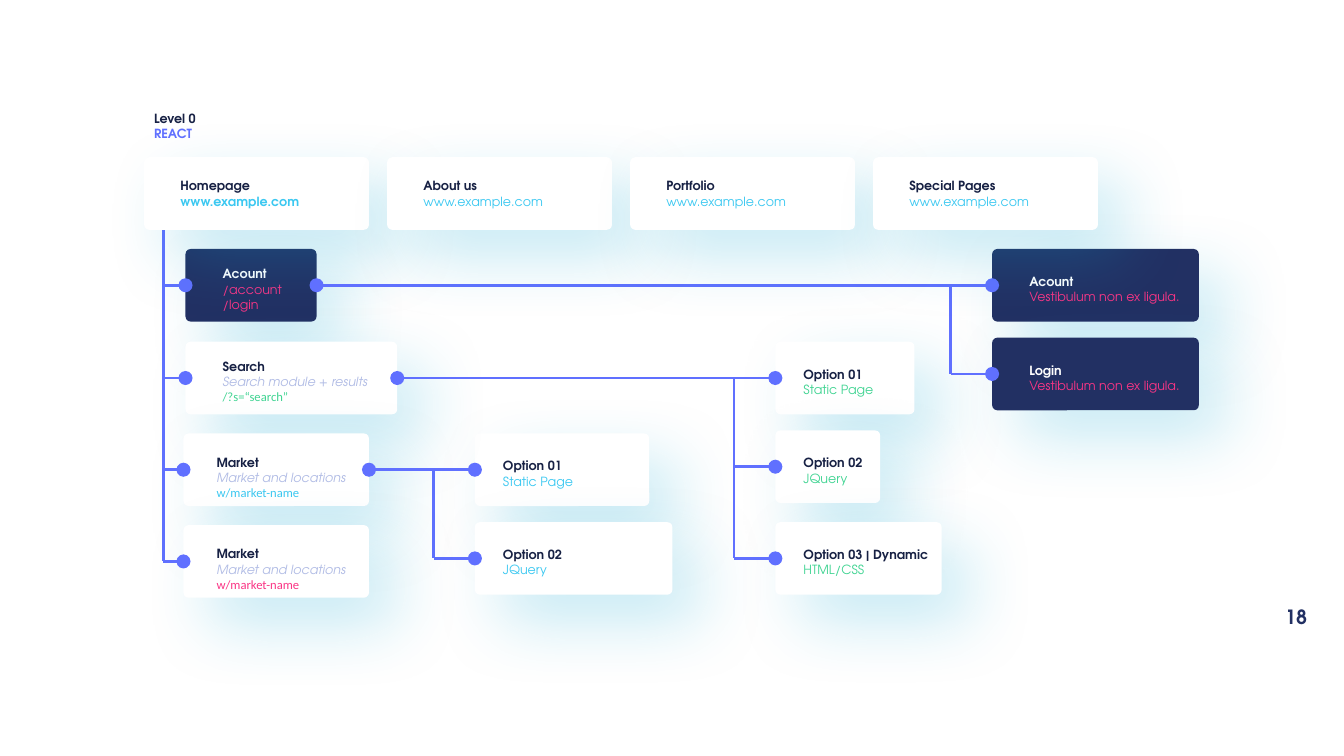
from dataclasses import dataclass
from typing import Optional, Union

from lxml.etree import SubElement
from pptx import Presentation
from pptx.dml.color import RGBColor
from pptx.enum.shapes import MSO_CONNECTOR, MSO_SHAPE
from pptx.enum.text import MSO_ANCHOR, MSO_AUTO_SIZE, PP_ALIGN
from pptx.oxml.ns import qn
from pptx.util import Inches, Pt

COLORS = {
    "white": "FFFFFF", "navy": "223063", "ink": "172144", "blue": "6070FF",
    "sky": "3BC8F1", "green": "40D492", "pink": "FA3585", "lilac": "B1BCE5",
    "shadow": "0FA6D2",
}
FONT = "TeX Gyre Adventor"
CARD_H = 0.72
TRUNK_X = 1.62
TEXT_H = {(1, 2): 0.4, (1.5, 2): 0.48, (1.5, 3): 0.63, (2, 3): 0.71}
RIGHT_SIDE, LEFT_SIDE = 3, 1


@dataclass
class Line:
    text: str
    color: str
    bold: bool = False
    italic: bool = False
    font: str = FONT
    size: float = 9


@dataclass
class Card:
    name: str
    x: float
    y: float
    w: float
    title: str
    details: list[Line]
    text_dx: float
    text_w: float
    first_spacing: float = 1.5
    fill: str = "white"


@dataclass
class Label:
    x: float
    y: float
    w: float
    h: float
    lines: list[Line]


@dataclass
class Link:
    start: Union[str, tuple[float, float]]
    end: Union[str, tuple[float, float]]
    dot_at_start: bool = False


def mid(y: float) -> float:
    return y + CARD_H / 2


def rgb(name: str) -> RGBColor:
    return RGBColor.from_string(COLORS[name])


def top_card(column: int, title: str, bold: bool = False) -> Card:
    return Card(title, 1.43 + 2.41 * column, 1.56, 2.23, title,
                [Line("www.example.com", "sky", bold)], 0.26, 1.41, 1)


def option(name: str, x: float, y: float, w: float, title: str,
           detail: str, color: str, text_w: float) -> Card:
    return Card(name, x, y, w, title, [Line(detail, color)], 0.18, text_w)


def market(name: str, y: float, color: str) -> Card:
    details = [Line("Market and locations", "lilac", italic=True),
               Line("w/market-name", color, font="Calibri")]
    return Card(name, 1.82, y, 1.84, "Market", details, 0.23, 1.5, 2)


def dark_card(name: str, y: float, title: str) -> Card:
    return Card(name, 9.84, y, 2.05, title,
                [Line("Vestibulum non ex ligula.", "pink")], 0.27, 1.71, fill="navy")


ITEMS = [
    option("market static", 4.71, 4.3, 1.73, "Option 01", "Static Page", "sky", 0.9),
    option("market jquery", 4.71, 5.18, 1.96, "Option 02", "JQuery", "sky", 0.79),
    Link((4.3, mid(4.3)), (4.3, mid(5.18))),
    Link((4.3, mid(5.18)), "market jquery"),
    option("search static", 7.69, 3.39, 1.38, "Option 01", "Static Page", "green", 0.9),
    option("search jquery", 7.69, 4.27, 1.04, "Option 02", "JQuery", "green", 0.79),
    Link((7.28, mid(3.39)), (7.28, mid(5.18))),
    Link((7.28, mid(4.27)), "search jquery"),
    dark_card("right account", 2.47, "Acount"),
    Link((TRUNK_X, 2.19), (TRUNK_X, mid(5.21)), dot_at_start=True),
    Card("account", 1.84, 2.47, 1.3, "Acount",
         [Line("/account", "pink"), Line("/login", "pink")], 0.27, 0.79, fill="navy"),
    Link((TRUNK_X, mid(2.47)), "account"),
    top_card(0, "Homepage", bold=True),
    Card("search", 1.84, 3.39, 2.1, "Search",
         [Line("Search module + results", "lilac", italic=True),
          Line("/?s=“search”", "green", font="Calibri")], 0.27, 1.65),
    Link((TRUNK_X, mid(3.39)), "search"),
    market("market", 4.3, "sky"),
    Link((TRUNK_X, mid(4.3)), "market"),
    Label(1.43, 1.05, 0.62, 0.4,
          [Line("Level 0", "ink", True), Line("REACT", "blue", True)]),
    market("second market", 5.21, "pink"),
    Link((TRUNK_X, mid(5.21)), "second market"),
    Link("account", "right account"),
    dark_card("login", 3.35, "Login"),
    Link((9.43, mid(2.47)), (9.43, mid(3.35))),
    Link((9.43, mid(3.35)), "login"),
    Link("search", "search static"),
    Link("market", "market static"),
    option("search dynamic", 7.69, 5.18, 1.65, "Option 03 | Dynamic",
           "HTML/CSS", "green", 1.49),
    Link((7.28, mid(5.18)), "search dynamic"),
    top_card(1, "About us"),
    top_card(2, "Portfolio"),
    top_card(3, "Special Pages"),
]


def add_text(shapes, label: Label, first_spacing: float = 1,
             align: Optional[PP_ALIGN] = None):
    box = shapes.add_textbox(Inches(label.x), Inches(label.y),
                             Inches(label.w), Inches(label.h))
    tf = box.text_frame
    tf.word_wrap = False
    tf.auto_size = MSO_AUTO_SIZE.SHAPE_TO_FIT_TEXT
    tf.vertical_anchor = MSO_ANCHOR.MIDDLE
    tf.text = "\n".join(line.text for line in label.lines)
    if first_spacing != 1:
        tf.paragraphs[0].line_spacing = first_spacing
    for p, line in zip(tf.paragraphs, label.lines):
        p.alignment = align
        font = p.runs[0].font
        font.name, font.size = line.font, Pt(line.size)
        font.bold, font.italic = line.bold, line.italic
        font.color.rgb = rgb(line.color)
    return box


def add_shadow(sp) -> None:
    effects = SubElement(sp._element.spPr, qn("a:effectLst"))
    shadow = SubElement(effects, qn("a:outerShdw"), blurRad=str(Pt(50)),
                        dist=str(Pt(27)), dir=str(45 * 60000), algn="tl", rotWithShape="0")
    color = SubElement(shadow, qn("a:srgbClr"), val=COLORS["shadow"])
    SubElement(color, qn("a:alpha"), val="23000")


def add_card(shapes, card: Card):
    group = shapes.add_group_shape()
    sp = group.shapes.add_shape(MSO_SHAPE.ROUNDED_RECTANGLE, Inches(card.x),
                                Inches(card.y), Inches(card.w), Inches(CARD_H))
    sp.adjustments[0] = 0.07
    sp.fill.solid()
    sp.fill.fore_color.rgb = rgb(card.fill)
    sp.line.fill.background()
    add_shadow(sp)
    title = Line(card.title, "white" if card.fill == "navy" else "ink", True)
    lines = [title, *card.details]
    h = TEXT_H[card.first_spacing, len(lines)]
    label = Label(card.x + card.text_dx, mid(card.y) - h / 2, card.text_w, h, lines)
    add_text(group.shapes, label, card.first_spacing)
    return sp


def add_link(shapes, link: Link, cards: dict) -> None:
    from_card, to_card = isinstance(link.start, str), isinstance(link.end, str)
    x1, y1 = (0, 0) if from_card else link.start
    x2, y2 = (0, 0) if to_card else link.end
    line = shapes.add_connector(MSO_CONNECTOR.STRAIGHT, Inches(x1), Inches(y1),
                                Inches(x2), Inches(y2))
    if from_card:
        line.begin_connect(cards[link.start], RIGHT_SIDE)
    if to_card:
        line.end_connect(cards[link.end], LEFT_SIDE)
    line.line.color.rgb = rgb("blue")
    line.line.width = Pt(2)
    ln = line.line._get_or_add_ln()
    for tag, dotted in (("a:headEnd", from_card or link.dot_at_start), ("a:tailEnd", to_card)):
        if dotted:
            SubElement(ln, qn(tag), type="oval", w="lg", len="lg")
    SubElement(line._element.spPr, qn("a:effectLst"))


def main() -> None:
    prs = Presentation()
    prs.slide_width, prs.slide_height = Inches(13.33), Inches(7.5)
    s = prs.slides.add_slide(prs.slide_layouts[6])
    number = Label(12.72, 5.96, 0.27, 0.32, [Line("18", "navy", True, size=14)])
    tf = add_text(s.shapes, number, align=PP_ALIGN.CENTER).text_frame
    tf.auto_size = MSO_AUTO_SIZE.NONE
    tf.margin_left = tf.margin_right = Inches(0.07)
    tf.margin_top = tf.margin_bottom = Inches(0.03)
    cards = {}
    for item in ITEMS:
        if isinstance(item, Card):
            cards[item.name] = add_card(s.shapes, item)
        elif isinstance(item, Link):
            add_link(s.shapes, item, cards)
        else:
            add_text(s.shapes, item)
    prs.save("out.pptx")


if __name__ == "__main__":
    main()
